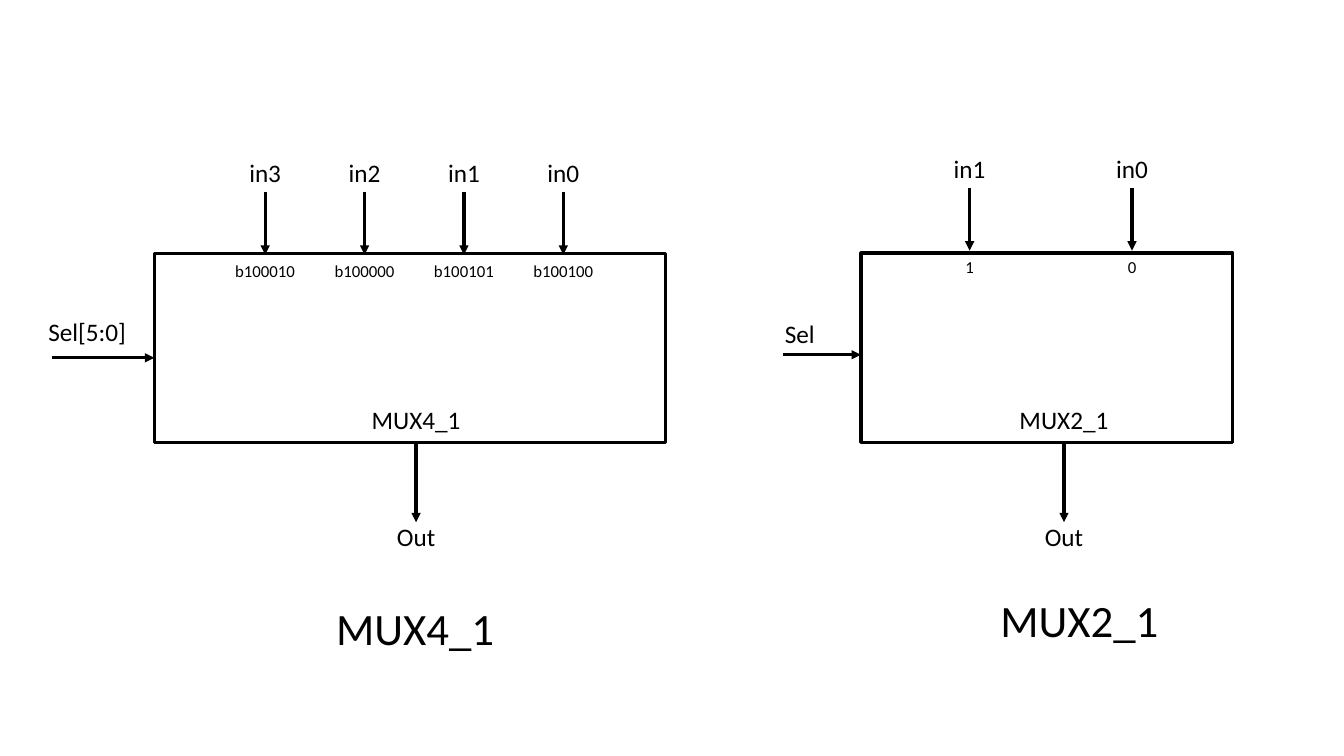
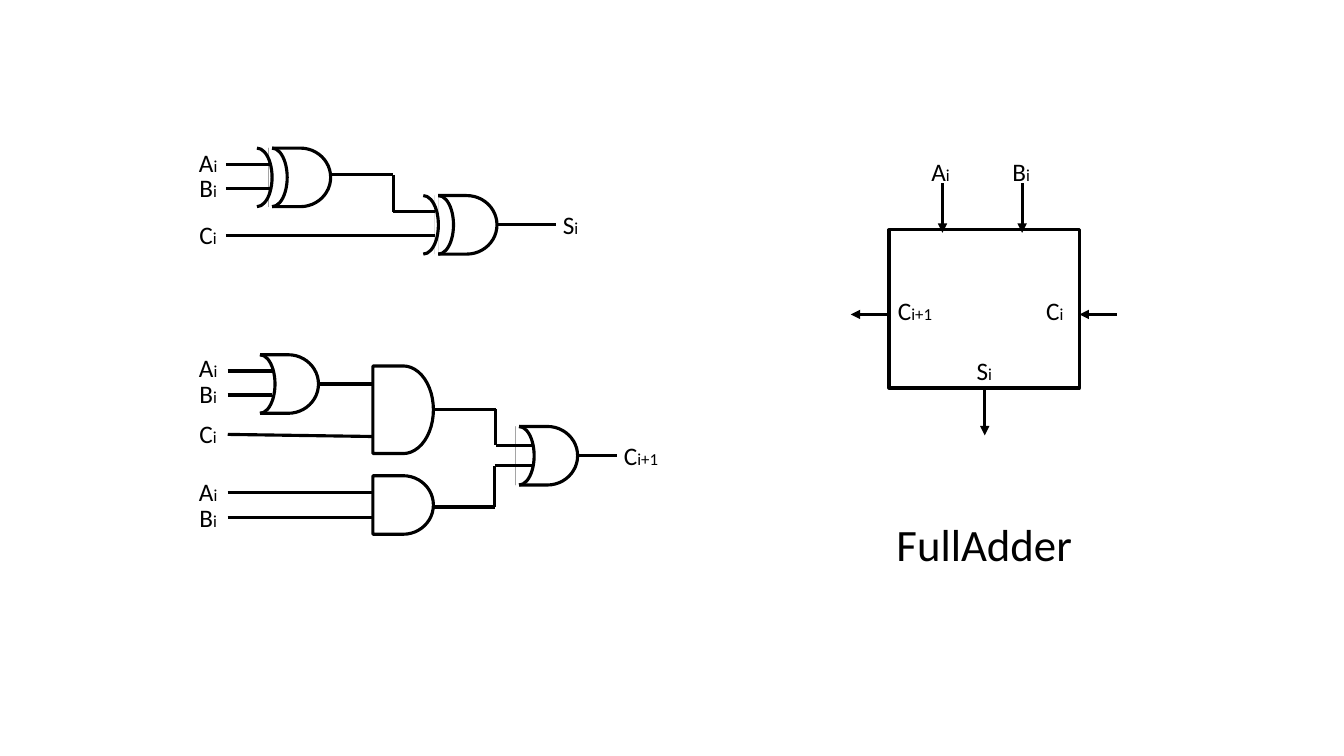
from pptx import Presentation
from pptx.dml.color import RGBColor
from pptx.enum.shapes import MSO_CONNECTOR, MSO_SHAPE
from pptx.enum.text import PP_ALIGN
from pptx.oxml.ns import qn
from pptx.util import Pt
from lxml.etree import SubElement

COLORS = {"ink": "000000", "paper": "FFFFFF"}
FONT = "Calibri"
STROKE = 2.25
BODY, SMALL, LARGE = 18, 12, 32
GATE_W, GATE_H = 43.2, 41.8
AND, OR, XOR = 0, 1, 2


def color(name):
    return RGBColor.from_string(COLORS[name])


def stroke(item, name="ink"):
    item.line.color.rgb = color(name)
    item.line.width = Pt(STROKE)


def outline(shapes, kind, x, y, w, h, filled=True):
    shape = shapes.add_shape(kind, Pt(x), Pt(y), Pt(w), Pt(h))
    shape.shadow.inherit = False
    if filled:
        shape.fill.solid()
        shape.fill.fore_color.rgb = color("paper")
    else:
        shape.fill.background()
    stroke(shape)
    return shape


def wire(shapes, *points, arrow=False, ink="ink"):
    for start, end in zip(points, points[1:]):
        line = shapes.add_connector(
            MSO_CONNECTOR.STRAIGHT, *[Pt(v) for v in start + end])
        stroke(line, ink)
        SubElement(line._element.spPr, qn("a:effectLst"))
        if arrow:
            SubElement(line.line._get_or_add_ln(), qn("a:tailEnd"),
                       type="triangle")


def label(shapes, text, mid, y, size=BODY, sub=""):
    width = size * 6
    box = shapes.add_textbox(Pt(mid - width / 2), Pt(y),
                             Pt(width), Pt(size * 1.2 + 7.2))
    frame = box.text_frame
    frame.word_wrap = True
    frame.text = text
    para = frame.paragraphs[0]
    para.alignment = PP_ALIGN.CENTER
    if sub:
        para.add_run().text = sub
    for run, points in zip(para.runs, (size, SMALL)):
        run.font.name = FONT
        run.font.size = Pt(points)
        run.font.color.rgb = color("ink")


def gate(shapes, x, y, kind=AND, height=GATE_H):
    outline(shapes, MSO_SHAPE.FLOWCHART_DELAY, x, y, GATE_W, height)
    if kind != AND:
        wire(shapes, (x, y - 1.5), (x, y + height + 1.5), ink="paper")
    for step in range(kind):
        arc = outline(shapes, MSO_SHAPE.ARC, x - 9.4 - 10.8 * step, y,
                      21.6, height, filled=False)
        arc.adjustments[0] = 162
        arc.adjustments[1] = 54


def mux(slide, name, box, tip, inputs, select, out, title):
    shapes = slide.shapes.add_group_shape().shapes
    left, top, width, height = box
    base = top + height
    outline(shapes, MSO_SHAPE.RECTANGLE, *box)
    for x, port, code in inputs:
        wire(shapes, (x, tip - 44.6), (x, tip), arrow=True)
        label(shapes, port, x, tip - 73)
        label(shapes, code, x, tip + 1, SMALL)
    text, mid, y, start, level = select
    label(shapes, text, mid, y)
    wire(shapes, (start, level), (left, level), arrow=True)
    wire(shapes, (out, base), (out, base + 57), arrow=True)
    label(shapes, "Out", out, base + 52.6)
    label(shapes, name, out, base - 31)
    label(slide.shapes, name, *title, size=LARGE)


def muxes(slide):
    codes = ("b100010", "b100000", "b100101", "b100100")
    mux(slide, "MUX4_1", (110.2, 181.4, 365, 134.6), 182,
        [(189.4 + 71 * i, f"in{3 - i}", code)
         for i, code in enumerate(codes)],
        ("Sel[5:0]", 62.3, 222.5, 37.4, 255.6), 297.2, (296.6, 425.5))
    mux(slide, "MUX2_1", (615, 180.7, 265.7, 135.3), 179,
        [(692.6, "in1", "1"), (808.6, "in0", "0")],
        ("Sel", 571.3, 223.9, 559.4, 253.4), 760, (771.1, 419.8))


def logic(slide):
    shapes = slide.shapes.add_group_shape().shapes
    for args in (
        (193, 105.8, XOR), (311.8, 139.7, XOR),
        (184.3, 253.4, OR), (369.4, 304.6, OR),
        (266.4, 261.4, AND, 62.6), (266.4, 339.8),
    ):
        gate(shapes, *args)
    for points in (
        ((161.3, 117.4), (193, 117.4)),
        ((161.3, 134.6), (193, 134.6)),
        ((236.9, 124.9), (280.8, 124.9), (280.8, 151.2), (311, 151.2)),
        ((161.3, 168.5), (311, 168.5)),
        ((355, 160.6), (397.4, 160.6)),
        ((162.7, 265), (194.4, 265)),
        ((162.7, 282.2), (194.4, 282.2)),
        ((228.2, 274.3), (266.4, 274.3)),
        ((162.7, 310.3), (266, 311.8)),
        ((162.7, 352.1), (266.4, 352.1)),
        ((162.7, 369.4), (266.4, 369.4)),
        ((310.3, 292.3), (354.2, 292.3), (354.2, 318.2), (381.6, 318.2)),
        ((310.3, 362.2), (353.5, 362.2), (353.5, 332.6), (381.6, 332.6)),
        ((413.3, 325.4), (440.6, 325.4)),
    ):
        wire(shapes, *points)
    for text, y in (
        ("A", 101.5), ("B", 119.5), ("C", 153.4),
        ("A", 248.4), ("B", 266.4), ("C", 295.2),
        ("A", 337), ("B", 355),
    ):
        label(shapes, text, 148.7, y, sub="i")
    label(shapes, "S", 407.5, 146.2, sub="i")
    label(shapes, "C", 457.9, 311, sub="i+1")


def adder(slide):
    shapes = slide.shapes.add_group_shape().shapes
    outline(shapes, MSO_SHAPE.RECTANGLE, 635, 164.2, 136.1, 113)
    for start, end in (
        ((673.2, 131), (673.2, 166.3)),
        ((730.1, 131), (730.1, 166.3)),
        ((635, 224.6), (607.7, 224.6)),
        ((797.8, 224.6), (771.1, 224.6)),
        ((703.4, 276.5), (703.4, 311)),
    ):
        wire(shapes, start, end, arrow=True)
    for text, sub, mid, y in (
        ("A", "i", 671.8, 108), ("B", "i", 729.4, 108),
        ("C", "i+1", 653.6, 207.4), ("C", "i", 753.5, 207.4),
        ("S", "i", 703.1, 250.2),
    ):
        label(shapes, text, mid, y, sub=sub)
    label(slide.shapes, "FullAdder", 703.1, 365.8, LARGE)


def main():
    deck = Presentation()
    deck.slide_width, deck.slide_height = Pt(960), Pt(540)
    blank = deck.slide_layouts[6]
    muxes(deck.slides.add_slide(blank))
    second = deck.slides.add_slide(blank)
    logic(second)
    adder(second)
    deck.save("out.pptx")


if __name__ == "__main__":
    main()
